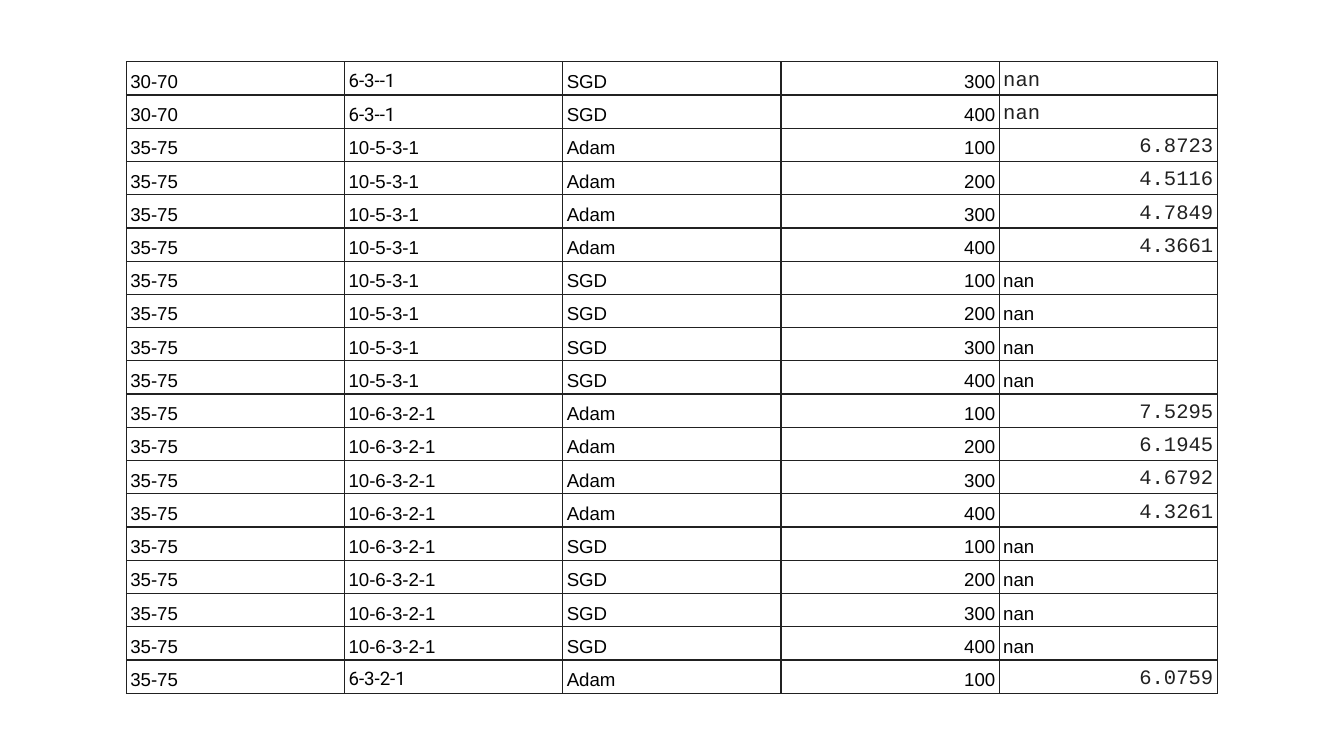
from lxml import etree
from pptx import Presentation
from pptx import util as u
from pptx.dml import color
from pptx.enum import text
from pptx.oxml import ns

EPOCHS = ("100", "200", "300", "400")
NO_LOSS = ("nan",) * 4
RUNS = [
    ("30-70", "6-3--1", "SGD", EPOCHS[2:], NO_LOSS[2:]),
    ("35-75", "10-5-3-1", "Adam", EPOCHS, ("6.8723", "4.5116", "4.7849", "4.3661")),
    ("35-75", "10-5-3-1", "SGD", EPOCHS, NO_LOSS),
    ("35-75", "10-6-3-2-1", "Adam", EPOCHS, ("7.5295", "6.1945", "4.6792", "4.3261")),
    ("35-75", "10-6-3-2-1", "SGD", EPOCHS, NO_LOSS),
    ("35-75", "6-3-2-1", "Adam", EPOCHS[:1], ("6.0759",)),
]
EPOCH_COLUMN, LOSS_COLUMN = 3, 4


def rgb(value):
    return color.RGBColor.from_string(value)


def result_rows():
    return [
        (split, layers, optimizer, epochs, loss)
        for split, layers, optimizer, counts, losses in RUNS
        for epochs, loss in zip(counts, losses)
    ]


def text_style(row, column):
    split, layers, _, _, loss = row
    if column == LOSS_COLUMN and (loss != "nan" or split == "30-70"):
        return "Courier New", 11, "212121"
    if column == 1 and layers.startswith("6"):
        return "Roboto", 10, "000000"
    return "Arial", 10, "000000"


def add_borders(cell, line_color, points):
    properties = cell._tc.get_or_add_tcPr()
    for position, side in enumerate(("lnL", "lnR", "lnT", "lnB")):
        line = etree.Element(ns.qn(f"a:{side}"), w=str(u.Pt(points)))
        fill = etree.SubElement(line, ns.qn("a:solidFill"))
        etree.SubElement(fill, ns.qn("a:srgbClr"), val=line_color)
        properties.insert(position, line)


def fill_cell(cell, row, column):
    cell.fill.background()
    cell.margin_left = cell.margin_right = u.Inches(0.03)
    cell.margin_top = cell.margin_bottom = u.Inches(0.02)
    cell.vertical_anchor = text.MSO_ANCHOR.BOTTOM
    add_borders(cell, "212121", 0.75)
    para = cell.text_frame.paragraphs[0]
    para.line_spacing = 1.15
    if column >= EPOCH_COLUMN and row[column] != "nan":
        para.alignment = text.PP_ALIGN.RIGHT
    span = para.add_run()
    span.text = row[column]
    name, size, text_color = text_style(row, column)
    span.font.name = name
    span.font.size = u.Pt(size)
    span.font.color.rgb = rgb(text_color)


def add_results(page, rows):
    frame = page.shapes.add_table(
        len(rows), len(rows[0]),
        u.Inches(0.94), u.Inches(0.46), u.Inches(8.12), u.Inches(4.7),
    )
    table = frame.table
    table.first_row = False
    table.horz_banding = False
    for index, row in enumerate(rows):
        for column in range(len(row)):
            fill_cell(table.cell(index, column), row, column)


def main():
    deck = Presentation()
    deck.slide_width = u.Inches(10)
    deck.slide_height = deck.slide_width * 9 // 16
    page = deck.slides.add_slide(deck.slide_layouts[6])
    page.background.fill.solid()
    page.background.fill.fore_color.rgb = rgb("FFFFFF")
    add_results(page, result_rows())
    deck.save("out.pptx")


if __name__ == "__main__":
    main()
